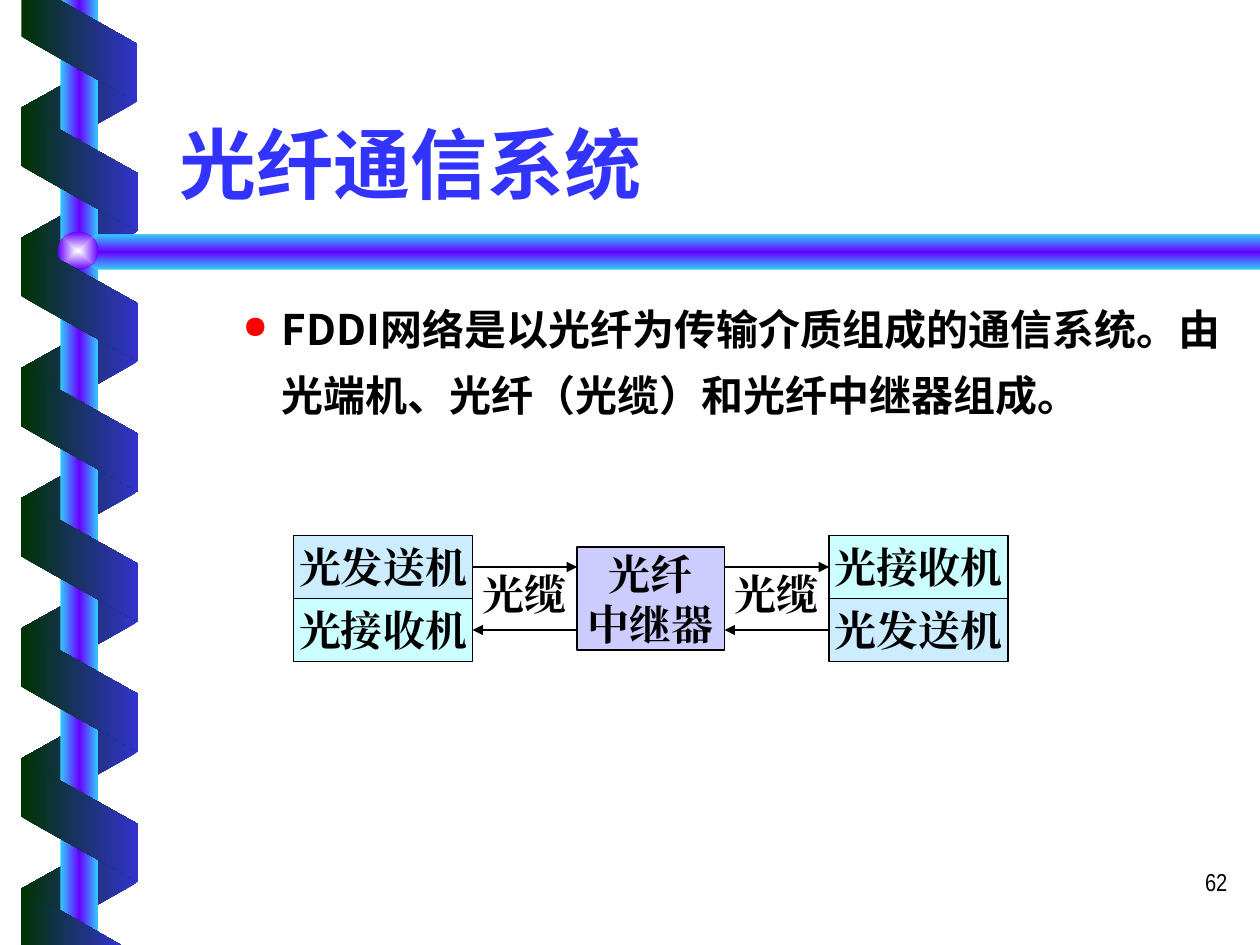
from dataclasses import dataclass

from lxml.etree import SubElement
from pptx import Presentation
from pptx.dml.color import RGBColor
from pptx.enum.shapes import MSO_CONNECTOR, MSO_SHAPE
from pptx.enum.text import MSO_ANCHOR, PP_ALIGN
from pptx.oxml import parse_xml
from pptx.oxml.ns import nsdecls, qn
from pptx.util import Emu, Inches, Pt

COLUMNS, ROWS = 100, 75
WIDTH, HEIGHT = Inches(10), Inches(7.5)
CJK_FONT, SERIF_FONT, NUMBER_FONT = "Noto Sans CJK SC", "Times New Roman", "Arial Narrow"
BLACK, GREEN, BLUE = "000000", "003300", "3333CC"
SENDER_FILL, RECEIVER_FILL, REPEATER_FILL = "CCECFF", "CCFFFF", "CCCCFF"
RIBBON = [(0, GREEN), (100, BLUE)]
TUBE = [(0, "33CCFF"), (50, "6600FF"), (100, "33CCFF")]
LINEAR = '<a:lin ang="{}" scaled="0"/>'
CENTRED = '<a:path path="rect"><a:fillToRect l="50000" t="50000" r="50000" b="50000"/></a:path>'
RIBBON_PITCH = 10.33


@dataclass(frozen=True)
class Area:
    column: float
    row: float
    columns: float
    rows: float

    def emu(self) -> tuple:
        return across(self.column), down(self.row), across(self.columns), down(self.rows)


@dataclass(frozen=True)
class TextStyle:
    size: float
    font: str
    color: str = BLACK
    bold: bool = True
    align: PP_ALIGN = PP_ALIGN.CENTER
    anchor: MSO_ANCHOR = MSO_ANCHOR.MIDDLE
    margins: tuple = (0, 0)


LABEL = TextStyle(24, SERIF_FONT)


def across(columns: float) -> Emu:
    return Emu(round(WIDTH * columns / COLUMNS))


def down(rows: float) -> Emu:
    return Emu(round(HEIGHT * rows / ROWS))


def rgb(color: str) -> RGBColor:
    return RGBColor.from_string(color)


def write(shape, lines: list, style: TextStyle) -> None:
    frame = shape.text_frame
    frame.word_wrap = True
    frame.vertical_anchor = style.anchor
    frame.margin_left = frame.margin_right = across(style.margins[0])
    frame.margin_top = frame.margin_bottom = down(style.margins[1])
    for index, line in enumerate(lines):
        paragraph = frame.add_paragraph() if index else frame.paragraphs[0]
        paragraph.alignment = style.align
        run = paragraph.add_run()
        run.text = line
        run.font.size, run.font.bold, run.font.name = Pt(style.size), style.bold, style.font
        run.font.color.rgb = rgb(style.color)
        SubElement(run.font._element, qn("a:ea")).set("typeface", style.font)


def add_text(slide, area: Area, lines: list, style: TextStyle):
    shape = slide.shapes.add_textbox(*area.emu())
    write(shape, lines, style)
    return shape


def add_box(slide, area: Area, lines: list, fill: str):
    shape = slide.shapes.add_shape(MSO_SHAPE.RECTANGLE, *area.emu())
    shape.shadow.inherit = False
    shape.fill.solid()
    shape.fill.fore_color.rgb = rgb(fill)
    shape.line.color.rgb = rgb(BLACK)
    shape.line.width = Pt(0.75)
    write(shape, lines, LABEL)
    return shape


def paint(shape, stops: list, direction: str) -> None:
    shape.shadow.inherit = False
    shape.line.fill.background()
    marks = "".join(
        f'<a:gs pos="{position * 1000}"><a:srgbClr val="{color}"/></a:gs>' for position, color in stops
    )
    gradient = parse_xml(
        f'<a:gradFill {nsdecls("a")} rotWithShape="0"><a:gsLst>{marks}</a:gsLst>{direction}</a:gradFill>'
    )
    shape.line._ln.addprevious(gradient)


def add_gradient_shape(slide, kind: MSO_SHAPE, area: Area, stops: list, direction: str):
    shape = slide.shapes.add_shape(kind, *area.emu())
    paint(shape, stops, direction)
    return shape


def add_gradient_outline(slide, points: list, stops: list, angle: int) -> None:
    places = [(across(column), down(row)) for column, row in points]
    builder = slide.shapes.build_freeform(*places[0], scale=1.0)
    builder.add_line_segments(places[1:], close=True)
    paint(builder.convert_to_shape(), stops, LINEAR.format(angle * 60000))


def add_ribbon(slide, row: float, front: bool) -> None:
    area = Area(1.4, row, 9.8, 9.3 if front else 9.2)
    stops = RIBBON if front else [(0, BLUE), (100, GREEN)]
    shape = add_gradient_shape(slide, MSO_SHAPE.PARALLELOGRAM, area, stops, LINEAR.format(0))
    shape.adjustments[0] = 0.56
    shape.rotation = 270 if front else 90
    if not front:
        shape._element.spPr.xfrm.set("flipH", "1")


def add_arrow(slide, start: tuple, end: tuple):
    connector = slide.shapes.add_connector(
        MSO_CONNECTOR.STRAIGHT, across(start[0]), down(start[1]), across(end[0]), down(end[1])
    )
    connector.line.color.rgb = rgb(BLACK)
    connector.line.width = Pt(1.5)
    SubElement(connector.line._ln, qn("a:tailEnd")).set("type", "triangle")
    SubElement(connector._element.spPr, qn("a:effectLst"))
    return connector


def add_decoration(slide) -> None:
    for index in range(7):
        add_ribbon(slide, 3.7 + index * RIBBON_PITCH, False)
    add_gradient_shape(slide, MSO_SHAPE.RECTANGLE, Area(4.8, 0, 3, ROWS), TUBE, LINEAR.format(0))
    bar = [(100, 18.6), (7.6, 18.6), (6, 20), (7.6, 21.4), (100, 21.4)]
    add_gradient_outline(slide, bar, TUBE, 90)
    ball = [(0, "FEFFFF"), (100, "6600FF")]
    add_gradient_shape(slide, MSO_SHAPE.OVAL, Area(4.6, 18.4, 3.2, 3), ball, CENTRED)
    for index in range(6):
        add_ribbon(slide, 8.8 + index * RIBBON_PITCH, True)
    top_end = [(1.7, 0), (1.7, 2.9), (10.9, 8.1), (10.9, 3.5), (4.7, 0)]
    bottom_end = [(9.6, 75), (1.7, 70.5), (1.7, 75)]
    for points in (top_end, bottom_end):
        add_gradient_outline(slide, points, RIBBON, 0)


def add_body(slide) -> None:
    style = TextStyle(24, CJK_FONT, align=PP_ALIGN.LEFT, anchor=MSO_ANCHOR.TOP, margins=(1, 0.5))
    text = "FDDI网络是以光纤为传输介质组成的通信系统。由光端机、光纤（光缆）和光纤中继器组成。"
    shape = add_text(slide, Area(13.3, 22.4, 85, 16.8), [text], style)
    paragraph = shape.text_frame.paragraphs[0]
    paragraph.line_spacing = 1.3
    properties = paragraph._p.get_or_add_pPr()
    properties.set("marL", str(across(8.1)))
    properties.set("indent", str(-across(3.1)))
    color = SubElement(properties, qn("a:buClr"))
    SubElement(color, qn("a:srgbClr")).set("val", "FF0000")
    SubElement(properties, qn("a:buSzPct")).set("val", "75000")
    SubElement(properties, qn("a:buChar")).set("char", "●")


def add_diagram(slide) -> None:
    left, right, top, width, height = 23.3, 65.8, 42.5, 14.2, 5
    repeater_left, repeater_right = 45.8, 57.5
    upper, lower = top + height / 2, top + height * 1.5
    sender, receiver = ("光发送机", SENDER_FILL), ("光接收机", RECEIVER_FILL)
    stations = []
    for column, machines in ((left, (sender, receiver)), (right, (receiver, sender))):
        for index, (name, fill) in enumerate(machines):
            area = Area(column, top + index * height, width, height)
            stations.append(add_box(slide, area, [name], fill))
    left_sender, left_receiver, right_receiver, right_sender = stations
    repeater = Area(repeater_left, 43.4, repeater_right - repeater_left, 8.2)
    add_box(slide, repeater, ["光纤", "中继器"], REPEATER_FILL)
    left_edge = left + width
    add_arrow(slide, (left_edge, upper), (repeater_left, upper)).begin_connect(left_sender, 3)
    add_arrow(slide, (repeater_left, lower), (left_edge, lower)).end_connect(left_receiver, 3)
    add_arrow(slide, (repeater_right, upper), (right, upper)).end_connect(right_receiver, 1)
    add_arrow(slide, (right, lower), (repeater_right, lower)).begin_connect(right_sender, 1)
    for column in (left_edge, repeater_right):
        add_text(slide, Area(column, 45.1, 8.3, 4), ["光缆"], LABEL)


def main() -> None:
    presentation = Presentation()
    presentation.slide_width, presentation.slide_height = WIDTH, HEIGHT
    slide = presentation.slides.add_slide(presentation.slide_layouts[6])
    add_decoration(slide)
    number = TextStyle(14, NUMBER_FONT, BLACK, False, PP_ALIGN.RIGHT, MSO_ANCHOR.TOP, (1, 0.5))
    add_text(slide, Area(77.6, 68.3, 20.8, 5), ["62"], number)
    title = TextStyle(44, CJK_FONT, "3333FF", True, PP_ALIGN.LEFT, MSO_ANCHOR.BOTTOM, (1, 0.5))
    add_text(slide, Area(13.3, 4.6, 85, 12.5), ["光纤通信系统"], title)
    add_body(slide)
    add_diagram(slide)
    presentation.save("out.pptx")


if __name__ == "__main__":
    main()
